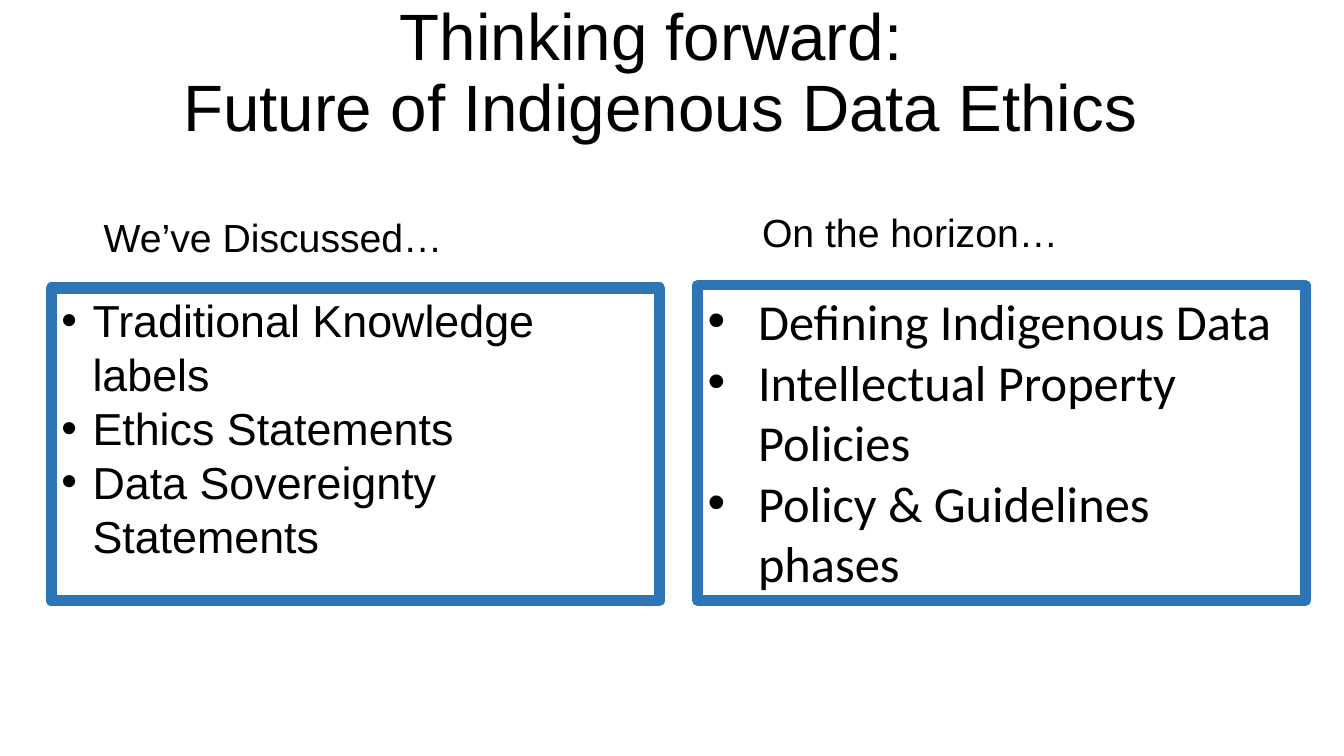
from pptx import Presentation
from pptx.dml.color import RGBColor
from pptx.enum.shapes import MSO_SHAPE
from pptx.enum.text import MSO_ANCHOR, PP_ALIGN
from pptx.oxml.ns import qn
from pptx.util import Inches, Pt
from lxml import etree

RECTANGLE = MSO_SHAPE.RECTANGLE
TOP, MIDDLE = MSO_ANCHOR.TOP, MSO_ANCHOR.MIDDLE
LEFT, CENTER = PP_ALIGN.LEFT, PP_ALIGN.CENTER


def color(hex_value):
    return RGBColor.from_string(hex_value)


class SlideBuilder:
    """Draws the title, headings and bulleted panels in one style."""

    text_color = "000000"
    border_color = "2E75B6"
    heading_font = "Arial"

    def __init__(self, slide):
        self.slide = slide

    def add_run(self, paragraph, text, size, font):
        run = paragraph.add_run()
        run.text = text
        run.font.size = Pt(size)
        run.font.name = font
        run.font.color.rgb = color(self.text_color)

    def add_bullet(self, paragraph, indent):
        properties = paragraph._p.get_or_add_pPr()
        properties.set("marL", str(Inches(indent)))
        properties.set("indent", str(-Inches(indent)))
        etree.SubElement(properties, qn("a:buFont"), typeface="Arial")
        etree.SubElement(properties, qn("a:buChar"), char="•")

    def title(self, lines, left, top, width, height, size):
        shape = self.slide.shapes.add_textbox(
            Inches(left), Inches(top), Inches(width), Inches(height))
        frame = shape.text_frame
        frame.word_wrap = True
        frame.vertical_anchor = MIDDLE
        paragraph = frame.paragraphs[0]
        paragraph.alignment = CENTER
        paragraph.line_spacing = 0.9
        for index, line in enumerate(lines):
            if index:
                paragraph.add_line_break()
            self.add_run(paragraph, line, size, self.heading_font)

    def heading(self, text, left, top):
        shape = self.slide.shapes.add_textbox(
            Inches(left), Inches(top), Inches(4.34), Inches(0.57))
        shape.text_frame.word_wrap = True
        self.add_run(shape.text_frame.paragraphs[0], text, 28, self.heading_font)

    def panel(self, items, left, top, height, border, indent, size, font):
        shape = self.slide.shapes.add_shape(
            RECTANGLE, Inches(left), Inches(top), Inches(6.03), Inches(height))
        shape.shadow.inherit = False
        shape.fill.background()
        shape.line.color.rgb = color(self.border_color)
        shape.line.width = Pt(border)
        frame = shape.text_frame
        frame.word_wrap = True
        frame.vertical_anchor = TOP
        for index, item in enumerate(items):
            paragraph = frame.add_paragraph() if index else frame.paragraphs[0]
            paragraph.alignment = LEFT
            self.add_bullet(paragraph, indent)
            self.add_run(paragraph, item, size, font)


def main():
    presentation = Presentation()
    presentation.slide_width = Inches(13.33)
    presentation.slide_height = Inches(7.5)
    slide = presentation.slides.add_slide(presentation.slide_layouts[6])
    builder = SlideBuilder(slide)

    builder.title(["Thinking forward: ", "Future of Indigenous Data Ethics"],
                  0.8, 0.12, 11.5, 1.24, 46.8)
    builder.panel(["Traditional Knowledge labels", "Ethics Statements",
                   "Data Sovereignty Statements"],
                  0.51, 2.86, 3.1, 8.25, 0.31, 32, "Arial")
    builder.heading("We’ve Discussed…", 0.93, 2.07)
    builder.panel(["Defining Indigenous Data", "Intellectual Property Policies",
                   "Policy & Guidelines phases"],
                  6.92, 2.83, 3.13, 7.5, 0.5, 36, "Calibri")
    builder.heading("On the horizon…", 7.46, 2.02)

    presentation.save("out.pptx")


if __name__ == "__main__":
    main()
